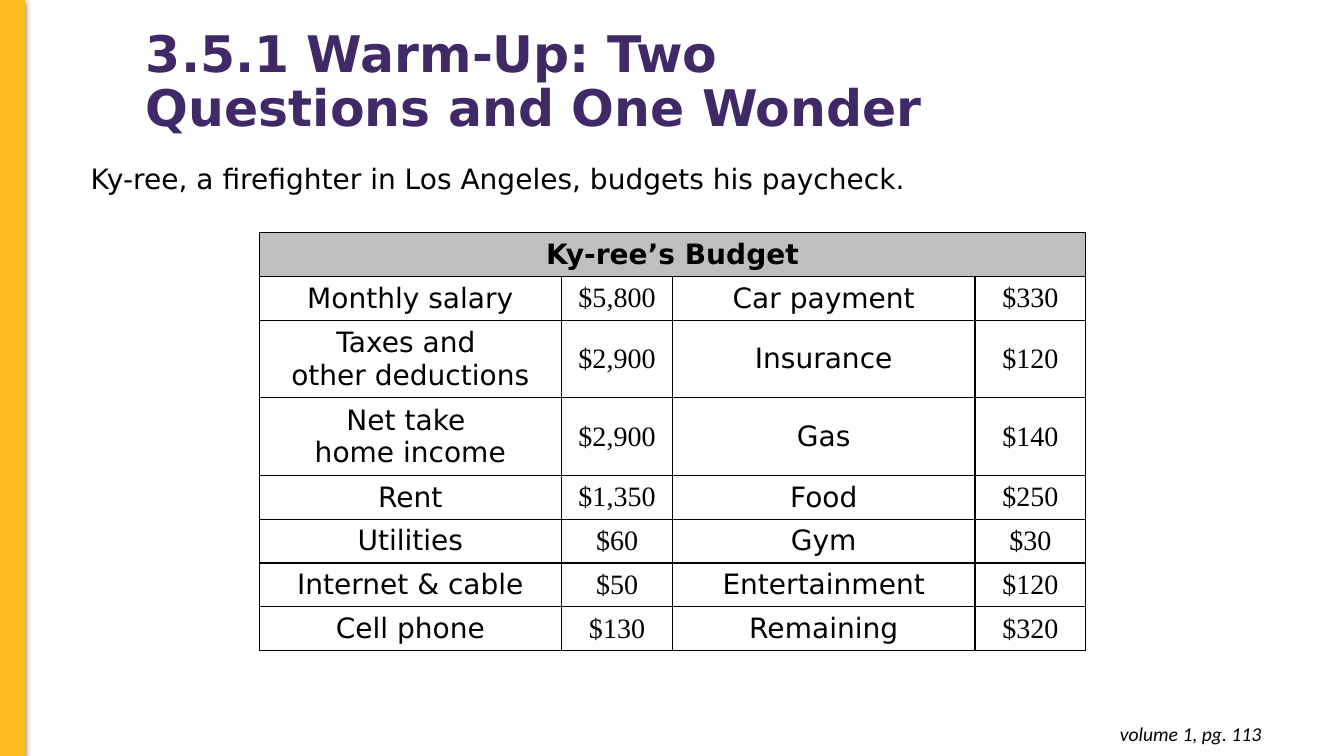
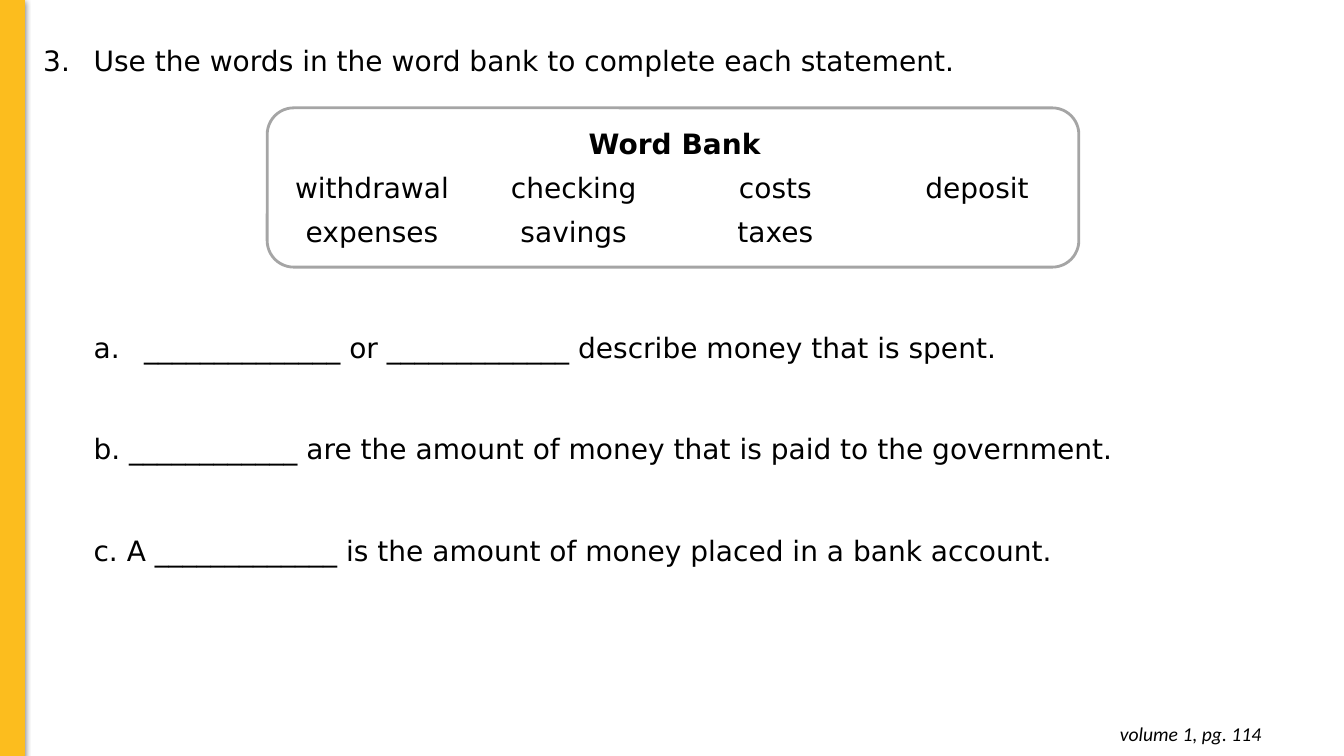
"""Build two lesson slides: a budget table and a word bank exercise."""
import lxml.etree
import pptx
import pptx.dml.color
import pptx.enum.shapes
import pptx.enum.text
import pptx.oxml
import pptx.oxml.ns
import pptx.util

Inches = pptx.util.Inches
Pt = pptx.util.Pt
ALIGN = pptx.enum.text.PP_ALIGN
ANCHOR = pptx.enum.text.MSO_ANCHOR
SHAPE = pptx.enum.shapes.MSO_SHAPE
NAMESPACE = pptx.oxml.ns.nsdecls("a")
BLACK, GOLD, PURPLE = "000000", "FCBD1E", "3F2A67"
SILVER, GRAY = "BFBFBF", "A5A5A5"
BODY_FONT, NUMBER_FONT, FOOTER_FONT = "DejaVu Sans", "Times New Roman", "Calibri"


def color(value):
    return pptx.dml.color.RGBColor.from_string(value)


def write_text(paragraph, text, size=20, font=BODY_FONT, ink=BLACK,
               bold=False, italic=False, align=ALIGN.LEFT, spacing=1.0):
    paragraph.text = text
    paragraph.alignment = align
    paragraph.line_spacing = spacing
    for run in paragraph.runs:
        run.font.size = Pt(size)
        run.font.name = font
        run.font.bold = bold
        run.font.italic = italic
        run.font.color.rgb = color(ink)


presentation = pptx.Presentation()
presentation.slide_width = Inches(13.33)
presentation.slide_height = Inches(7.5)

for page in (113, 114):
    slide = presentation.slides.add_slide(presentation.slide_layouts[6])
    band = slide.shapes.add_shape(SHAPE.RECTANGLE, 0, 0, Inches(0.24), Inches(7.5))
    band.fill.solid()
    band.fill.fore_color.rgb = color(GOLD)
    band.line.color.rgb = color(GOLD)
    band.line.width = Pt(0.75)
    band.shadow.inherit = False
    effects = band.element.spPr.find(pptx.oxml.ns.qn("a:effectLst"))
    effects.append(pptx.oxml.parse_xml(
        f'<a:outerShdw {NAMESPACE} blurRad="{Pt(4.5)}" dist="{Pt(1.5)}" dir="5400000">'
        f'<a:srgbClr val="{BLACK}"><a:alpha val="50000"/></a:srgbClr></a:outerShdw>'))
    footer = slide.shapes.add_textbox(Inches(9.73), Inches(7.06), Inches(2.88), Inches(0.44))
    footer.text_frame.word_wrap = True
    footer.text_frame.margin_top = footer.text_frame.margin_bottom = Inches(0.1)
    write_text(footer.text_frame.paragraphs[0], f"volume 1, pg. {page}", 14,
               FOOTER_FONT, italic=True, align=ALIGN.RIGHT)

budget_slide, word_slide = presentation.slides

title = budget_slide.shapes.add_textbox(Inches(1.35), Inches(0.1), Inches(8.77), Inches(1.45))
title.text_frame.word_wrap = True
title.text_frame.vertical_anchor = ANCHOR.MIDDLE
write_text(title.text_frame.paragraphs[0], "3.5.1 Warm-Up: Two Questions and One Wonder",
           36, ink=PURPLE, bold=True, spacing=0.9)

intro = budget_slide.shapes.add_textbox(Inches(0.8), Inches(1.53), Inches(11.62), Inches(0.44))
intro.text_frame.word_wrap = True
write_text(intro.text_frame.paragraphs[0],
           "Ky-ree, a firefighter in Los Angeles, budgets his paycheck.", spacing=1.07)

exercise = word_slide.shapes.add_textbox(Inches(0.33), Inches(0.38), Inches(12.08), Inches(5.25))
exercise.text_frame.word_wrap = True
statements = [
    ("Use the words in the word bank to complete each statement.",
     0, 0.5, -0.5, 'type="arabicPeriod" startAt="3"'),
    ("______________ or _____________ describe money that is spent.",
     181, 1, -0.5, 'type="alphaLcPeriod"'),
    ("b. ____________ are the amount of money that is paid to the government.",
     48.5, 0.5, 0, None),
    ("c. A _____________ is the amount of money placed in a bank account.",
     48.5, 0.5, 0, None),
]
for index, (text, space, margin, indent, numbering) in enumerate(statements):
    frame = exercise.text_frame
    paragraph = frame.add_paragraph() if index else frame.paragraphs[0]
    write_text(paragraph, text)
    if space:
        paragraph.space_before = Pt(space)
    properties = paragraph._p.get_or_add_pPr()
    properties.set("marL", str(Inches(margin)))
    properties.set("indent", str(Inches(indent)))
    if numbering:
        bullet_color = lxml.etree.SubElement(properties, pptx.oxml.ns.qn("a:buClr"))
        lxml.etree.SubElement(bullet_color, pptx.oxml.ns.qn("a:srgbClr"), val=BLACK)
        properties.append(pptx.oxml.parse_xml(f"<a:buAutoNum {NAMESPACE} {numbering}/>"))

budget_rows = [
    ["Ky-ree’s Budget", "", "", ""],
    ["Monthly salary", "$5,800", "Car payment", "$330"],
    ["Taxes and \vother deductions", "$2,900", "Insurance", "$120"],
    ["Net take \vhome income", "$2,900", "Gas", "$140"],
    ["Rent", "$1,350", "Food", "$250"],
    ["Utilities", "$60", "Gym", "$30"],
    ["Internet & cable", "$50", "Entertainment", "$120"],
    ["Cell phone", "$130", "Remaining", "$320"],
]
word_rows = [
    ["Word Bank", "", "", ""],
    ["withdrawal", "checking", "costs", "deposit"],
    ["expenses", "savings", "taxes", ""],
]
solid_line = f'<a:solidFill><a:srgbClr val="{BLACK}"/></a:solidFill>'
tables = [
    (budget_slide, 2.57, 2.31, [3, 1.1, 3, 1.1], budget_rows, SILVER, solid_line),
    (word_slide, 2.69, 1.22, [2, 2, 2, 2], word_rows, None, "<a:noFill/>"),
]
for slide, left, top, widths, rows, header_fill, line in tables:
    heights = [0.77 if "\v" in row[0] else 0.43 for row in rows]
    table = slide.shapes.add_table(len(rows), len(widths), Inches(left), Inches(top),
                                   Inches(sum(widths)), Inches(sum(heights))).table
    table.first_row = table.horz_banding = False
    for column, width in zip(table.columns, widths):
        column.width = Inches(width)
    for row_index, row in enumerate(rows):
        table.rows[row_index].height = Inches(heights[row_index])
        for column_index, text in enumerate(row):
            cell = table.cell(row_index, column_index)
            cell.vertical_anchor = ANCHOR.MIDDLE
            write_text(cell.text_frame.paragraphs[0], text,
                       font=NUMBER_FONT if text.startswith("$") else BODY_FONT,
                       bold=row_index == 0, align=ALIGN.CENTER)
            properties = cell._tc.get_or_add_tcPr()
            for side in ("lnL", "lnR", "lnT", "lnB"):
                properties.append(pptx.oxml.parse_xml(
                    f'<a:{side} {NAMESPACE} w="{Pt(1)}">{line}</a:{side}>'))
            if header_fill and row_index == 0:
                cell.fill.solid()
                cell.fill.fore_color.rgb = color(header_fill)
            else:
                cell.fill.background()
    table.cell(0, 0).merge(table.cell(0, len(widths) - 1))

word_frame = word_slide.shapes.add_shape(SHAPE.ROUNDED_RECTANGLE, Inches(2.65), Inches(1.07),
                                         Inches(8.05), Inches(1.58))
word_frame.shadow.inherit = False
word_frame.fill.background()
word_frame.line.color.rgb = color(GRAY)
word_frame.line.width = Pt(2)

presentation.save("out.pptx")
